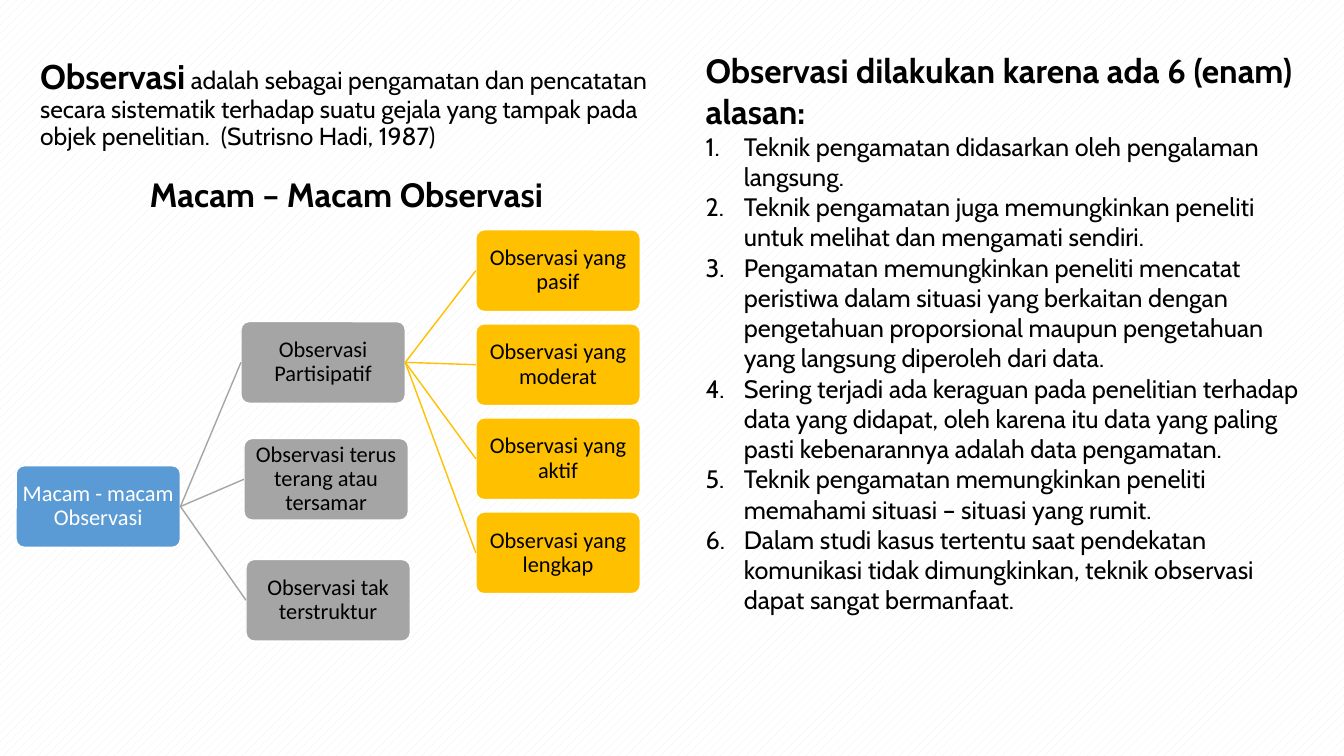
import lxml.etree
import pptx
import pptx.dml.color
import pptx.enum.dml
import pptx.enum.shapes
import pptx.enum.text
import pptx.oxml.ns
import pptx.util

Inches = pptx.util.Inches
Pt = pptx.util.Pt
RGBColor = pptx.dml.color.RGBColor
qn = pptx.oxml.ns.qn
CENTER = pptx.enum.text.PP_ALIGN.CENTER

BLACK = RGBColor(0x00, 0x00, 0x00)
WHITE = RGBColor(0xFF, 0xFF, 0xFF)
PALE = RGBColor(0xED, 0xED, 0xED)
BLUE = RGBColor(0x5B, 0x9B, 0xD5)
GRAY = RGBColor(0xA5, 0xA5, 0xA5)
GOLD = RGBColor(0xFF, 0xC0, 0x00)

deck = pptx.Presentation()
deck.slide_width = Inches(13.33)
deck.slide_height = Inches(7.5)
slide = deck.slides.add_slide(deck.slide_layouts[6])

# Hatched background
back = slide.background.fill
back.patterned()
back.pattern = pptx.enum.dml.MSO_PATTERN.DASHED_UPWARD_DIAGONAL
back.fore_color.rgb = PALE
back.back_color.rgb = WHITE


def style(run, size, bold=False, face="Cabin", color=BLACK):
    run.font.name = face
    run.font.size = Pt(size)
    run.font.bold = bold
    run.font.color.rgb = color


def add_node(left, top, label, fill, color=BLACK, parent=None):
    node = slide.shapes.add_shape(
        pptx.enum.shapes.MSO_SHAPE.ROUNDED_RECTANGLE,
        Inches(left), Inches(top), Inches(1.63), Inches(0.81))
    node.adjustments[0] = 0.1
    node.shadow.inherit = False
    node.fill.solid()
    node.fill.fore_color.rgb = fill
    node.line.color.rgb = WHITE
    node.line.width = Pt(1)
    frame = node.text_frame
    frame.word_wrap = True
    frame.margin_left = frame.margin_right = Inches(0.03)
    frame.margin_top = frame.margin_bottom = Inches(0.03)
    frame.vertical_anchor = pptx.enum.text.MSO_ANCHOR.MIDDLE
    frame.text = label
    para = frame.paragraphs[0]
    para.alignment = CENTER
    para.line_spacing = 0.9
    style(para.runs[0], 16, face="Calibri", color=color)
    if parent is not None:
        # Right side of the parent to left side of the node
        link = slide.shapes.add_connector(
            pptx.enum.shapes.MSO_CONNECTOR.STRAIGHT, 0, 0, 0, 0)
        link.begin_connect(parent, 3)
        link.end_connect(node, 1)
        link.line.color.rgb = fill
        link.line.width = Pt(1)
        lxml.etree.SubElement(link._element.spPr, qn("a:effectLst"))
    return node


# Reasons list
reasons = [
    "Teknik pengamatan didasarkan oleh pengalaman langsung.",
    "Teknik pengamatan juga memungkinkan peneliti untuk melihat dan "
    "mengamati sendiri.",
    "Pengamatan memungkinkan peneliti mencatat peristiwa dalam situasi yang "
    "berkaitan dengan pengetahuan proporsional maupun pengetahuan yang "
    "langsung diperoleh dari data.",
    "Sering terjadi ada keraguan pada penelitian terhadap data yang didapat, "
    "oleh karena itu data yang paling pasti kebenarannya adalah data "
    "pengamatan.",
    "Teknik pengamatan memungkinkan peneliti memahami situasi – situasi yang "
    "rumit.",
    "Dalam studi kasus tertentu saat pendekatan komunikasi tidak "
    "dimungkinkan, teknik observasi dapat sangat bermanfaat.",
]
frame = slide.shapes.add_textbox(
    Inches(6.9), Inches(0.45), Inches(6.27), Inches(6.06)).text_frame
frame.word_wrap = True
frame.text = "Observasi dilakukan karena ada 6 (enam) alasan:"
style(frame.paragraphs[0].runs[0], 24, bold=True)
for reason in reasons:
    para = frame.add_paragraph()
    para.text = reason
    props = para._p.get_or_add_pPr()
    props.set("marL", str(Inches(0.38)))
    props.set("indent", str(-Inches(0.38)))
    lxml.etree.SubElement(props, qn("a:buFont"), typeface="+mj-lt")
    lxml.etree.SubElement(props, qn("a:buAutoNum"), type="arabicPeriod")
    style(para.runs[0], 18)

# Tree of observation types
root = add_node(0.16, 4.62, "Macam - macam Observasi", BLUE, WHITE)
joint = add_node(2.39, 3.19, "Observasi Partisipatif", GRAY, parent=root)
add_node(2.42, 4.35, "Observasi terus terang atau tersamar", GRAY, parent=root)
add_node(2.44, 5.55, "Observasi tak terstruktur", GRAY, parent=root)
for row, kind in enumerate(["pasif", "moderat", "aktif", "lengkap"]):
    add_node(4.72, 2.28 + 2.8 * row / 3, "Observasi yang " + kind, GOLD,
             parent=joint)

# Tree heading
frame = slide.shapes.add_textbox(
    Inches(0.3), Inches(1.68), Inches(6.27), Inches(0.5)).text_frame
frame.word_wrap = True
frame.text = "Macam – Macam Observasi"
frame.paragraphs[0].alignment = CENTER
style(frame.paragraphs[0].runs[0], 24, bold=True)

# Definition
frame = slide.shapes.add_textbox(
    Inches(0.3), Inches(0.55), Inches(6.27), Inches(1.85)).text_frame
frame.word_wrap = True
para = frame.paragraphs[0]
para.line_spacing = 0.9
para.text = "Observasi"
style(para.runs[0], 24.4, bold=True)
rest = para.add_run()
rest.text = (" adalah sebagai pengamatan dan pencatatan secara sistematik "
             "terhadap suatu gejala yang tampak pada objek penelitian.  "
             "(Sutrisno Hadi, 1987)")
style(rest, 17.6)

deck.save("out.pptx")
